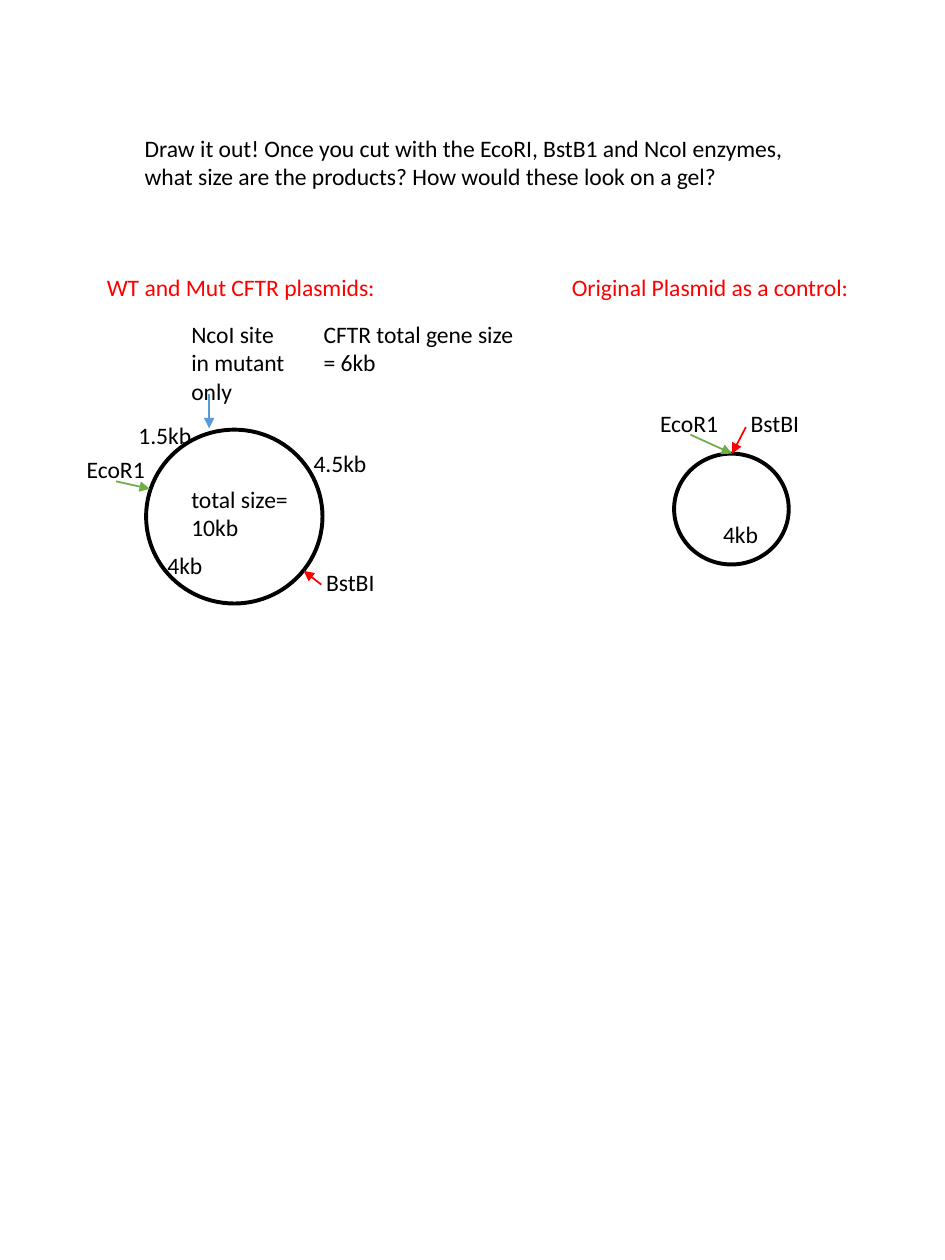
import pptx
import pptx.util
import pptx.dml.color
import pptx.enum.shapes
import pptx.enum.text
import pptx.oxml
import pptx.oxml.ns
import lxml.etree

Inches = pptx.util.Inches
BLACK, RED, GREEN, BLUE = "000000", "FF0000", "70AD47", "5B9BD5"


def color(code):
    """Turn a hex string into a colour."""
    return pptx.dml.color.RGBColor.from_string(code)


class Page:
    """Hold the text style and the current slide."""

    font = "Calibri"
    size = 13.5

    def __init__(self, slide):
        """Keep the slide to draw on."""
        self.slide = slide

    def label(self, text, left, top, width, tint=BLACK, rows=1, wrap=False):
        """Add text, with one paragraph for each line of the string."""
        box = self.slide.shapes.add_textbox(
            Inches(left), Inches(top), Inches(width), Inches(0.1 + 0.23 * rows))
        frame = box.text_frame
        frame.word_wrap = wrap
        frame.auto_size = pptx.enum.text.MSO_AUTO_SIZE.SHAPE_TO_FIT_TEXT
        frame.text = text
        for para in frame.paragraphs:
            para.font.name = self.font
            para.font.size = pptx.util.Pt(self.size)
            para.font.color.rgb = color(tint)

    def ring(self, left, top, width, height):
        """Add a plasmid outline."""
        ring = self.slide.shapes.add_shape(
            pptx.enum.shapes.MSO_SHAPE.OVAL,
            Inches(left), Inches(top), Inches(width), Inches(height))
        ring.shadow.inherit = False
        ring.fill.background()
        ring.line.color.rgb = color(BLACK)
        ring.line.width = pptx.util.Pt(2.25)

    def arrow(self, start, end, tint):
        """Add an arrow that points at a cut site."""
        arrow = self.slide.shapes.add_connector(
            pptx.enum.shapes.MSO_CONNECTOR.STRAIGHT,
            *(Inches(value) for value in start + end))
        arrow.line.color.rgb = color(tint)
        arrow.line.width = pptx.util.Pt(1)
        qn = pptx.oxml.ns.qn
        props = arrow.element.spPr
        lxml.etree.SubElement(props.find(qn("a:ln")), qn("a:tailEnd"), type="triangle")
        lxml.etree.SubElement(props, qn("a:effectLst"))


deck = pptx.Presentation()
deck.slide_width, deck.slide_height = Inches(7.5), Inches(10)
page = Page(deck.slides.add_slide(deck.slide_layouts[6]))

page.label("Draw it out! Once you cut with the EcoRI, BstB1 and NcoI enzymes, "
           "what size are the products? How would these look on a gel?",
           1.05, 1.01, 5.45, rows=2, wrap=True)
page.label("WT and Mut CFTR plasmids:", 0.75, 2.12, 2.36, RED)
page.label("Original Plasmid as a control:", 4.44, 2.12, 2.43, RED)

page.ring(1.16, 3.41, 1.4, 1.38)
page.ring(5.35, 3.6, 0.91, 0.88)

for start, end, tint in [
    ((0.92, 3.82), (1.19, 3.88), GREEN),
    ((2.55, 4.64), (2.41, 4.53), RED),
    ((1.66, 3.13), (1.66, 3.4), BLUE),
    ((5.48, 3.45), (5.81, 3.6), GREEN),
    ((5.92, 3.39), (5.81, 3.6), RED),
]:
    page.arrow(start, end, tint)

page.label("CFTR total gene size\n= 6kb", 2.47, 2.49, 1.73, rows=2)
page.label("total size=\n10kb", 1.42, 3.8, 0.98, rows=2)
page.label("NcoI site in mutant only", 1.42, 2.49, 0.97, rows=3, wrap=True)

# Each short label: its width, then the places where it stands
for text, width, spots in [
    ("EcoR1", 0.67, [(0.59, 3.56), (5.14, 3.2)]),
    ("BstBI", 0.59, [(2.49, 4.46), (5.86, 3.2)]),
    ("4kb", 0.48, [(1.23, 4.32), (5.64, 4.08)]),
    ("1.5kb", 0.63, [(1, 3.29)]),
    ("4.5kb", 0.63, [(2.39, 3.51)]),
]:
    for left, top in spots:
        page.label(text, left, top, width)

deck.save("out.pptx")
